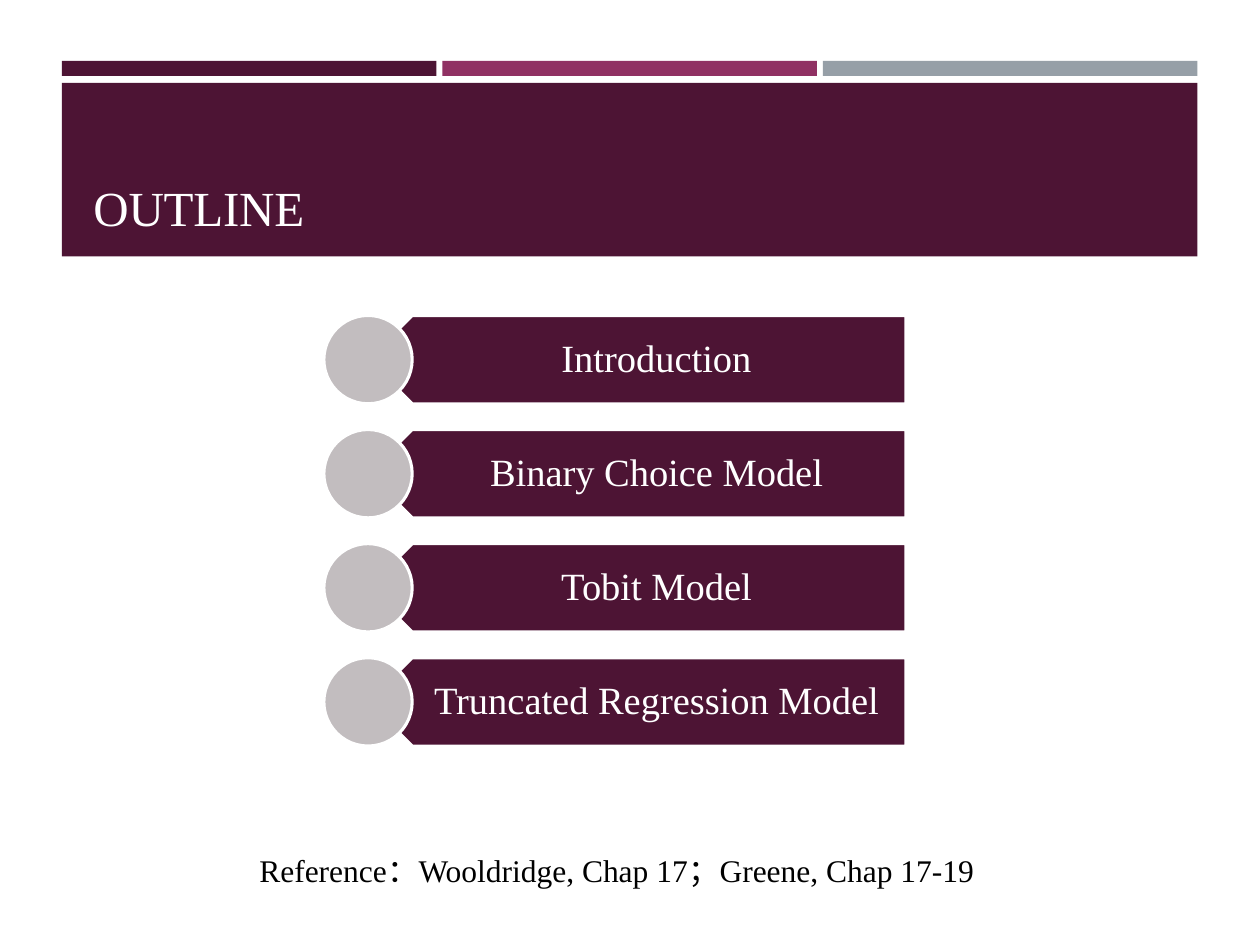
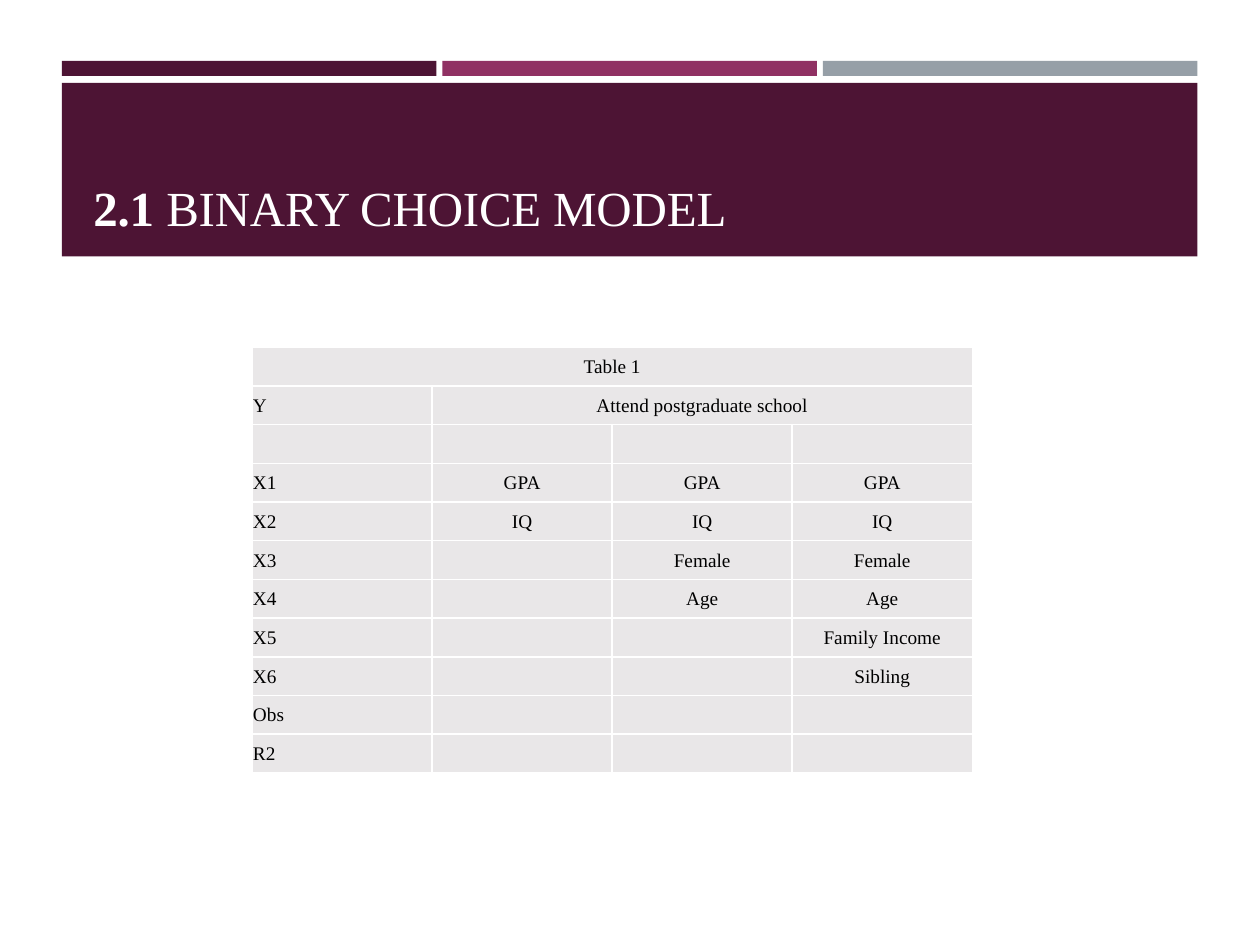
from lxml import etree
from pptx import Presentation
from pptx.dml.color import RGBColor
from pptx.enum.shapes import MSO_SHAPE
from pptx.enum.text import MSO_ANCHOR, PP_ALIGN
from pptx.oxml.ns import qn
from pptx.util import Cm, Pt

RECT, PLATE, OVAL = MSO_SHAPE.RECTANGLE, MSO_SHAPE.PENTAGON, MSO_SHAPE.OVAL
MIDDLE, BOTTOM = MSO_ANCHOR.MIDDLE, MSO_ANCHOR.BOTTOM
LEFT, CENTER = PP_ALIGN.LEFT, PP_ALIGN.CENTER
TITLE_ONLY = 5
FONT = "Times New Roman"
COLORS = {
    "plum": "4D1434",
    "berry": "903163",
    "steel": "969FA7",
    "dot": "C2BDBF",
    "cell": "E9E7E8",
    "white": "FFFFFF",
    "black": "000000",
}
TOPICS = ["Introduction", "Binary Choice Model", "Tobit Model", "Truncated Regression Model"]
ROWS = [
    ["Table 1", "", "", ""],
    ["Y", "Attend postgraduate school", "", ""],
    ["", "", "", ""],
    ["X1", "GPA", "GPA", "GPA"],
    ["X2", "IQ", "IQ", "IQ"],
    ["X3", "", "Female", "Female"],
    ["X4", "", "Age", "Age"],
    ["X5", "", "", "Family Income"],
    ["X6", "", "", "Sibling"],
    ["Obs", "", "", ""],
    ["R2", "", "", ""],
]


def rgb(name):
    return RGBColor.from_string(COLORS[name])


def style_run(r, size, color, bold=False):
    r.font.name = FONT
    r.font.size = Pt(size)
    r.font.bold = bold
    r.font.color.rgb = rgb(color)


def add_block(s, kind, left, top, width, height, fill, outlined=False):
    sp = s.shapes.add_shape(kind, Cm(left), Cm(top), Cm(width), Cm(height))
    sp.shadow.inherit = False
    sp.fill.solid()
    sp.fill.fore_color.rgb = rgb(fill)
    if outlined:
        sp.line.color.rgb = rgb("white")
        sp.line.width = Pt(1.75)
    else:
        sp.line.fill.background()
    return sp


def add_text(s, text, left, top, width, height, size, color):
    tf = s.shapes.add_textbox(Cm(left), Cm(top), Cm(width), Cm(height)).text_frame
    tf.word_wrap = True
    tf.text = text
    style_run(tf.paragraphs[0].runs[0], size, color)
    return tf


def add_titled_slide(prs, title, number=""):
    s = prs.slides.add_slide(prs.slide_layouts[TITLE_ONLY])
    for i, color in enumerate(["plum", "berry", "steel"]):
        add_block(s, RECT, 1.25 + i * 7.67, 1.23, 7.55, 0.3, color)
    add_block(s, RECT, 1.25, 1.67, 22.89, 3.5, "plum")

    sp = s.shapes.title
    s.shapes._spTree.append(sp._element)
    sp.left, sp.top, sp.width, sp.height = Cm(1.63), Cm(1.9), Cm(22.2), Cm(3)
    tf = sp.text_frame
    tf.vertical_anchor = BOTTOM
    p = tf.paragraphs[0]
    p.alignment = LEFT
    for text in filter(None, [number, title]):
        r = p.add_run()
        r.text = text
        style_run(r, 28, "white", bold=text == number)
        r._r.get_or_add_rPr().set("spc", "-10")
    return s


def add_topic(s, topic, top):
    height = 1.78
    add_block(s, PLATE, 7.42, top, 10.84, height, "plum", outlined=True).rotation = 180
    tf = add_text(s, topic, 7.86, top, 10.39, height, 22, "white")
    tf.vertical_anchor = MIDDLE
    tf.margin_left, tf.margin_right = Cm(0.79), Cm(0.43)
    p = tf.paragraphs[0]
    p.alignment = CENTER
    p.line_spacing = 0.9
    add_block(s, OVAL, 6.53, top, height, height, "dot", outlined=True)


def add_borders(cell):
    tcPr = cell._tc.get_or_add_tcPr()
    for side in ("a:lnL", "a:lnR", "a:lnT", "a:lnB"):
        ln = etree.SubElement(tcPr, qn(side), w=str(Pt(1)))
        fill = etree.SubElement(ln, qn("a:solidFill"))
        etree.SubElement(fill, qn("a:srgbClr"), val=COLORS["white"])


def format_cell(cell, text, alignment):
    add_borders(cell)
    cell.fill.solid()
    cell.fill.fore_color.rgb = rgb("cell")
    cell.vertical_anchor = MIDDLE
    cell.margin_left = cell.margin_right = cell.margin_top = Cm(0.02)
    cell.margin_bottom = 0
    cell.text = text
    p = cell.text_frame.paragraphs[0]
    p.alignment = alignment
    p._p.get_or_add_endParaRPr().set("sz", "1100")
    for r in p.runs:
        style_run(r, 11, "black")


def add_variable_table(s, rows):
    n_rows, n_cols = len(rows), len(rows[0])
    row_height, col_width = Cm(0.78), Cm(3.63)
    table = s.shapes.add_table(n_rows, n_cols, Cm(5.08), Cm(7),
                               col_width * n_cols, row_height * n_rows).table
    table.first_row = table.horz_banding = False
    for column in table.columns:
        column.width = col_width
    for i, row in enumerate(rows):
        table.rows[i].height = row_height
        for j, text in enumerate(row):
            format_cell(table.cell(i, j), text, CENTER if i == 0 or j else LEFT)
    for i in (0, 1):
        table.cell(i, i).merge(table.cell(i, n_cols - 1))


def main():
    prs = Presentation()
    prs.slide_width, prs.slide_height = Cm(25.4), Cm(19.05)

    s = add_titled_slide(prs, "OUTLINE")
    for i, topic in enumerate(TOPICS):
        add_topic(s, topic, 6.36 + i * 2.3)
    add_text(s, "Reference：Wooldridge, Chap 17；Greene, Chap 17-19",
             4.98, 17.04, 18.85, 1.02, 18, "black")

    s = add_titled_slide(prs, "BINARY CHOICE MODEL", number="2.1 ")
    add_variable_table(s, ROWS)

    prs.save("out.pptx")


if __name__ == "__main__":
    main()
